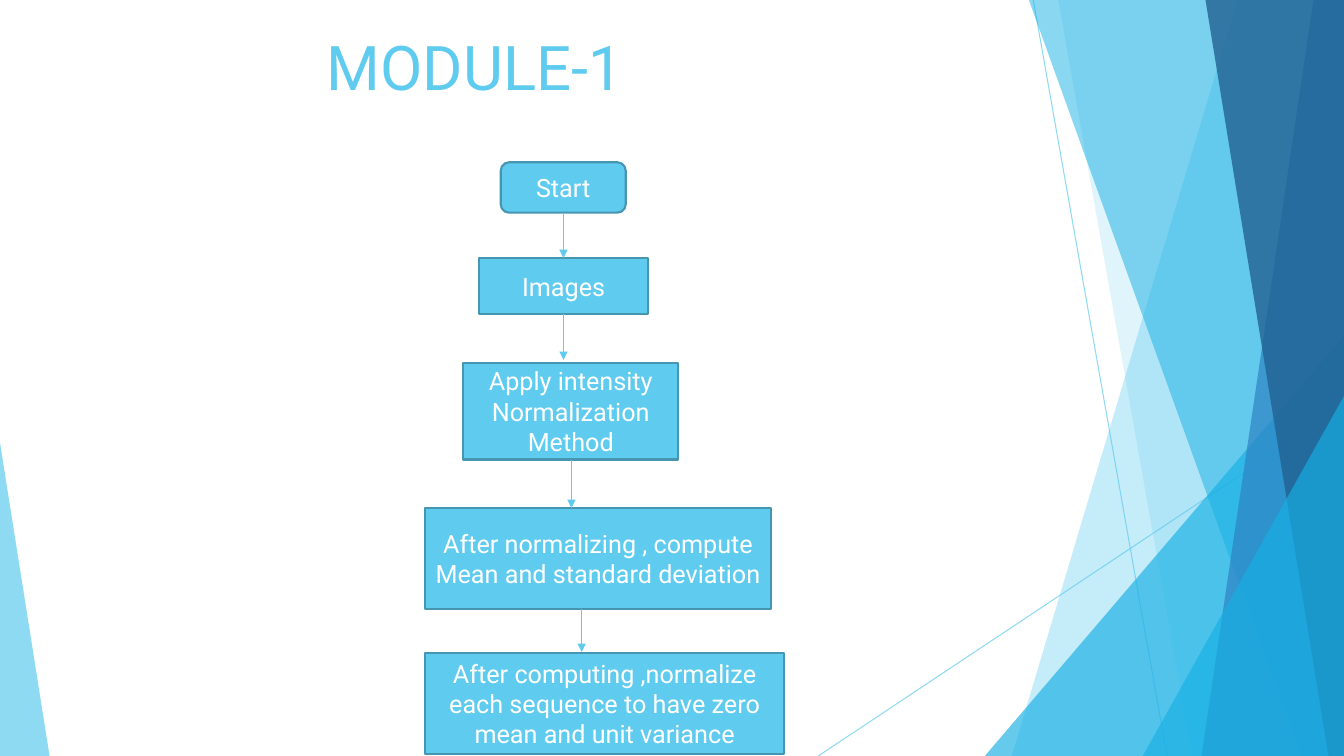
from lxml.etree import SubElement
from pptx import Presentation
from pptx.dml.color import RGBColor
from pptx.enum.shapes import MSO_CONNECTOR, MSO_SHAPE
from pptx.enum.text import MSO_ANCHOR, PP_ALIGN
from pptx.oxml.ns import qn
from pptx.util import Cm, Pt

WIDTH, HEIGHT = 33.87, 19.05
FONT = "Roboto"
COLORS = {"sky": "5FCBEF", "cyan": "17B0E4", "blue": "2E83C3",
          "navy": "226292", "border": "4696B1", "white": "FFFFFF"}

TITLE = "MODULE-1"

# text, left, top, width, height (cm)
STEPS = [
    ("Start", 12.62, 4.09, 3.15, 1.27),
    ("Images", 12.07, 6.5, 4.27, 1.42),
    ("Apply intensity Normalization Method", 11.68, 9.14, 5.41, 2.44),
    ("After normalizing , compute Mean and standard deviation", 10.72, 12.8, 8.71, 2.54),
    ("After computing ,normalize each sequence to have zero mean and unit variance",
     10.72, 16.46, 9.04, 2.54),
]
# x of each arrow, gap left before the next step (cm)
ARROWS = [(14.2, 0), (14.2, 0.07), (14.4, 0), (14.66, 0.03)]

# Backdrop, from back to front
RAYS = [(26.04, 0, 29.41, HEIGHT), (WIDTH, 10.24, 20.62, HEIGHT)]
# band: top-left x, bottom-left x; triangle: left, top, width, apex position
BACKDROP = [
    ("band", (31.19, 25.5), "sky", 36),
    ("band", (26.67, 30.05), "sky", 20),
    ("triangle", (24.82, 8.46, WIDTH - 24.82, 1), "cyan", 66),
    ("band", (25.93, 32.79), "cyan", 50),
    ("band", (33.1, 30.28), "blue", 70),
    ("band", (30.38, 33.48), "navy", 80),
    ("triangle", (28.8, 9.98, WIDTH - 28.8, 1), "cyan", 66),
    ("triangle", (0, 11.15, 1.25, 0), "sky", 70),
]


def rgb(name):
    return RGBColor.from_string(COLORS[name])


def set_alpha(shape, percent):
    """Make the shape's only solid colour partly transparent."""
    color = next(shape._element.spPr.iter(qn("a:srgbClr")))
    SubElement(color, qn("a:alpha"), val=str(percent * 1000))


def paint(shape, color, border=None):
    shape.shadow.inherit = False
    shape.fill.solid()
    shape.fill.fore_color.rgb = rgb(color)
    if border:
        shape.line.color.rgb = rgb(border)
        shape.line.width = Pt(1.5)
    else:
        shape.line.fill.background()


def write(shape, text, size=18, color="white", align=PP_ALIGN.CENTER):
    frame = shape.text_frame
    frame.word_wrap = True
    frame.vertical_anchor = MSO_ANCHOR.MIDDLE
    para = frame.paragraphs[0]
    para.alignment = align
    span = para.add_run()
    span.text = text
    span.font.name = FONT
    span.font.size = Pt(size)
    span.font.color.rgb = rgb(color)
    return para


def add_line(page, x1, y1, x2, y2, width):
    line = page.shapes.add_connector(
        MSO_CONNECTOR.STRAIGHT, Cm(x1), Cm(y1), Cm(x2), Cm(y2))
    line.line.color.rgb = rgb("sky")
    line.line.width = Pt(width)
    SubElement(line._element.spPr, qn("a:effectLst"))
    return line


def add_band(page, top_x, bottom_x):
    """Four-sided band running from its slanted left edge to the slide's right."""
    builder = page.shapes.build_freeform(Cm(top_x), 0)
    corners = [(WIDTH, 0), (WIDTH, HEIGHT), (bottom_x, HEIGHT)]
    builder.add_line_segments([(Cm(x), Cm(y)) for x, y in corners], close=True)
    return builder.convert_to_shape()


def add_triangle(page, left, top, width, apex):
    """Triangle standing on the slide's bottom edge."""
    shape = page.shapes.add_shape(MSO_SHAPE.ISOSCELES_TRIANGLE, Cm(left), Cm(top),
                                  Cm(width), Cm(HEIGHT - top))
    shape.adjustments[0] = apex
    return shape


def add_backdrop(page):
    for ray in RAYS:
        set_alpha(add_line(page, *ray, width=0.75), 70)
    makers = {"band": add_band, "triangle": add_triangle}
    for kind, place, color, alpha in BACKDROP:
        shape = makers[kind](page, *place)
        paint(shape, color)
        set_alpha(shape, alpha)


def add_title(page):
    title = page.shapes.title
    title.left, title.top, title.width, title.height = Cm(1.88), Cm(0.43), Cm(23.88), Cm(2.44)
    para = write(title, TITLE, size=44, color="sky", align=PP_ALIGN.LEFT)
    para._p.get_or_add_pPr().set("marL", str(Cm(6.1)))


def add_flow(page):
    for index, (text, left, top, width, height) in enumerate(STEPS):
        kind = MSO_SHAPE.RECTANGLE if index else MSO_SHAPE.ROUNDED_RECTANGLE
        box = page.shapes.add_shape(kind, Cm(left), Cm(top), Cm(width), Cm(height))
        paint(box, "sky", border="border")
        write(box, text)
    for (x, gap), step, following in zip(ARROWS, STEPS, STEPS[1:]):
        arrow = add_line(page, x, step[2] + step[4], x, following[2] - gap, width=1)
        SubElement(arrow.line._get_or_add_ln(), qn("a:tailEnd"), type="triangle")


def main():
    deck = Presentation()
    deck.slide_width, deck.slide_height = Cm(WIDTH), Cm(HEIGHT)
    page = deck.slides.add_slide(deck.slide_layouts[5])
    add_backdrop(page)
    add_title(page)
    add_flow(page)
    deck.save("out.pptx")


if __name__ == "__main__":
    main()
